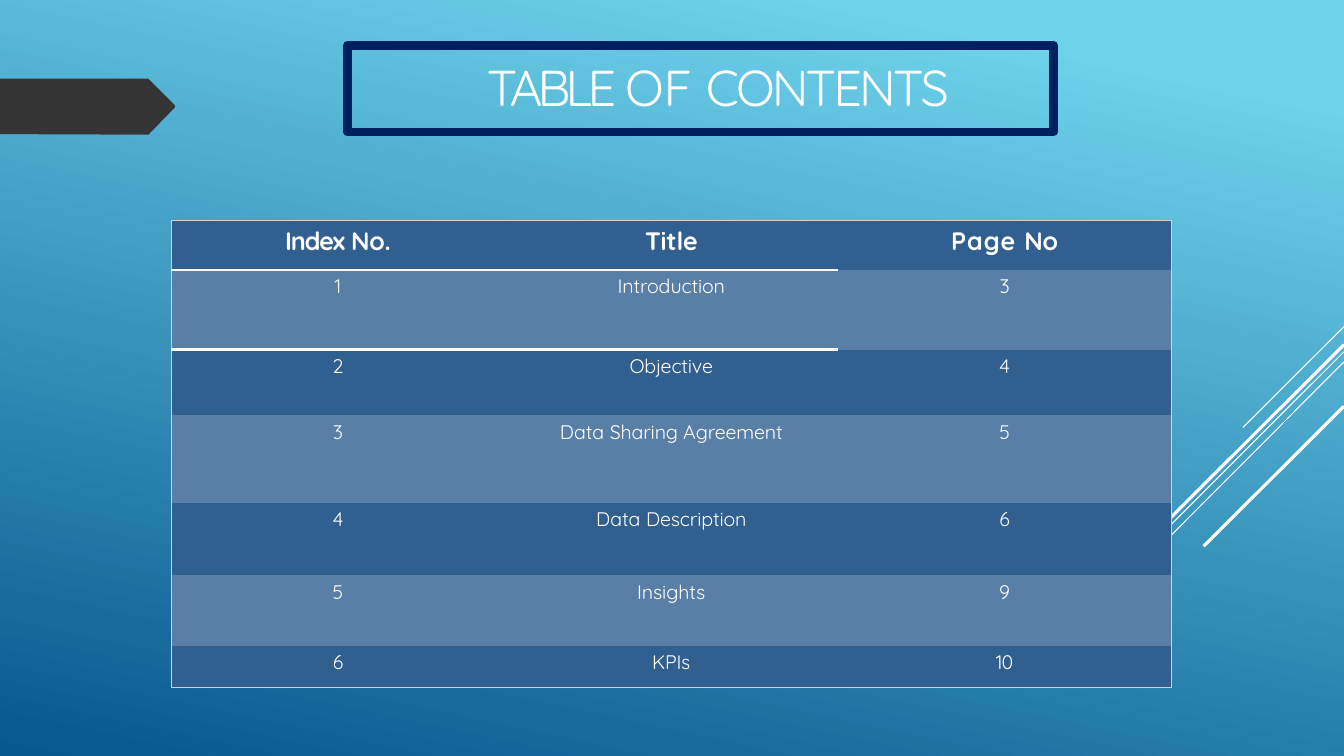
from lxml.etree import SubElement
from pptx import Presentation
from pptx.dml.color import RGBColor
from pptx.enum.shapes import MSO_CONNECTOR
from pptx.enum.text import MSO_ANCHOR, MSO_AUTO_SIZE, PP_ALIGN
from pptx.oxml.ns import qn
from pptx.util import Pt

PLAIN = "{2D5ABB26-0587-4C30-8999-92F81FD0307C}"
LINES = [
    (960, 233.3, 887.8, 305.3, 0.75),
    (960, 251.3, 725, 486, 0.75),
    (960, 258.5, 810.7, 408.2, 0.75),
    (960, 246.2, 822.2, 383.8, 2.25),
    (960, 290.2, 859.7, 390.2, 2.25),
]
ARROW = [(0, 56.2), (0, 95.8), (106, 96.2), (125, 76.7), (125, 75.2), (106, 56.2)]
FRAME = [(248.4, 94.3), (752.4, 94.3), (752.4, 32.4), (248.4, 32.4)]
HEAD = [
    [("Index ", -0.8), ("No.", -0.2)],
    [("Title", -0.1)],
    [("Page ", 0.8), ("No", -0.2)],
]
TOPICS = [
    ([("Introduction", -0.1)], 3),
    ([("Objective", -0.1)], 4),
    ([("Data ", 0), ("Sharing Agreement", -0.1)], 5),
    ([("Data ", 0), ("Description", -0.1)], 6),
    ([("Insights", -0.1)], 9),
    ([("KPIs", -0.2)], 10),
]
HIGHS = [35.3, 56.9, 46.8, 62.6, 51.8, 50.4, 29.5]


def tint(code):
    """Turn a hex string into a colour."""
    return RGBColor.from_string(code)


def write(frame, runs, size=14, bold=False, color="FFFFFF", font="Quicksand",
          align=PP_ALIGN.CENTER, before=3.2, indent=0):
    """Fill a text frame with one paragraph of (text, spacing) runs."""
    para = frame.paragraphs[0]
    para.alignment = align
    para.space_before = Pt(before)
    if indent:
        para._p.get_or_add_pPr().set("marL", str(Pt(indent)))
    for text, gap in runs:
        run = para.add_run()
        run.text = text
        run.font.size = Pt(size)
        run.font.bold = bold
        run.font.name = font
        run.font.color.rgb = tint(color)
        run._r.get_or_add_rPr().set("spc", str(round(gap * 100)))


def edge(cell, side, color, width, alpha=100):
    """Draw one border of a table cell."""
    props = cell._tc.get_or_add_tcPr()
    line = props.makeelement(qn(f"a:ln{side}"), {"w": str(Pt(width))})
    fill = SubElement(SubElement(line, qn("a:solidFill")), qn("a:srgbClr"), val=color)
    SubElement(fill, qn("a:alpha"), val=str(alpha * 1000))
    props.insert(len(props) - 1, line)


class Deck:
    """Hold the style and the current slide."""

    white, dark, light = "FFFFFF", "305F90", "597FA6"
    rim, navy, grey = "CFD1D5", "001F5F", "353535"

    def __init__(self):
        """Start a deck with one title-only slide."""
        self.show = Presentation()
        self.show.slide_width, self.show.slide_height = Pt(960), Pt(540)
        self.slide = self.show.slides.add_slide(self.show.slide_layouts[5])
        self.shapes = self.slide.shapes

    def back(self, stops, angle):
        """Paint the background gradient."""
        fill = self.slide.background.fill
        fill.gradient()
        fill.gradient_angle = angle
        for stop, (place, color) in zip(fill.gradient_stops, stops):
            stop.position = place
            stop.color.rgb = tint(color)

    def line(self, left, top, right, low, width):
        """Draw a straight white line."""
        line = self.shapes.add_connector(
            MSO_CONNECTOR.STRAIGHT, Pt(left), Pt(top), Pt(right), Pt(low))
        line.line.color.rgb = tint(self.white)
        line.line.width = Pt(width)
        SubElement(line.element.spPr, qn("a:effectLst"))

    def outline(self, points, fill=None, line=None, width=0):
        """Draw a closed shape through the points."""
        spots = [(Pt(x), Pt(y)) for x, y in points]
        pen = self.shapes.build_freeform(*spots[0])
        pen.add_line_segments(spots[1:], close=True)
        shape = pen.convert_to_shape()
        shape.shadow.inherit = False
        if fill:
            shape.fill.solid()
            shape.fill.fore_color.rgb = tint(fill)
        else:
            shape.fill.background()
        if line:
            shape.line.color.rgb = tint(line)
            shape.line.width = Pt(width)
        else:
            shape.line.fill.background()

    def table(self, rows, highs, left, top, width):
        """Build the striped table with a thin outer border."""
        last, end = len(rows) - 1, len(rows[0]) - 1
        frame = self.shapes.add_table(
            len(rows), len(rows[0]), Pt(left), Pt(top), Pt(width), Pt(sum(highs)))
        table = frame.table
        table.first_row = table.horz_banding = False
        table._tbl.tblPr.find(qn("a:tableStyleId")).text = PLAIN
        for column in table.columns:
            column.width = Pt(width / len(rows[0]))
        for r, (row, high) in enumerate(zip(rows, highs)):
            table.rows[r].height = Pt(high)
            for c, runs in enumerate(row):
                cell = table.cell(r, c)
                cell.margin_left = cell.margin_right = cell.margin_bottom = 0
                cell.margin_top = Pt(3.2)
                cell.fill.solid()
                cell.fill.fore_color.rgb = tint(self.light if r % 2 else self.dark)
                write(cell.text_frame, runs, size=14 if r else 18, bold=r == 0)
                outer = {"L": c == 0, "R": c == end, "T": r == 0, "B": r == last}
                for side, drawn in outer.items():
                    if drawn:
                        edge(cell, side, self.rim, 0.75, 60)
                if r == 0 and c < end:
                    edge(cell, "B", self.white, 2.25)
                if r == 1 and c < end:
                    edge(cell, "T", self.white, 2.25)

    def title(self, runs, left, top, width, high):
        """Place and format the title in front of the rest."""
        title = self.shapes.title
        title.left, title.top = Pt(left), Pt(top)
        title.width, title.height = Pt(width), Pt(high)
        frame = title.text_frame
        frame.margin_left = frame.margin_right = frame.margin_bottom = 0
        frame.margin_top = Pt(18.7)
        frame.vertical_anchor = MSO_ANCHOR.MIDDLE
        frame.auto_size = MSO_AUTO_SIZE.NONE
        frame.word_wrap = True
        write(frame, runs, size=36, align=PP_ALIGN.LEFT, before=1, indent=185.8)
        self.shapes.element.append(title.element)


def main():
    """Build and save the slide."""
    deck = Deck()
    deck.back([(0.1, "6ED2EB"), (1, "06588E")], 258)
    for line in LINES:
        deck.line(*line)
    deck.outline(ARROW, fill=deck.grey)
    body = [[[(str(n), -0.5)], name, [(str(page), -0.5)]]
            for n, (name, page) in enumerate(TOPICS, 1)]
    deck.table([HEAD] + body, HIGHS, 122.4, 157.5, 714.3)
    deck.outline(FRAME, line=deck.navy, width=6.25)
    deck.title([("TABLE ", -3.5), ("OF ", 0), ("CONTENTS", -2)], 162, 0, 815, 104.4)
    deck.show.save("out.pptx")


if __name__ == "__main__":
    main()
